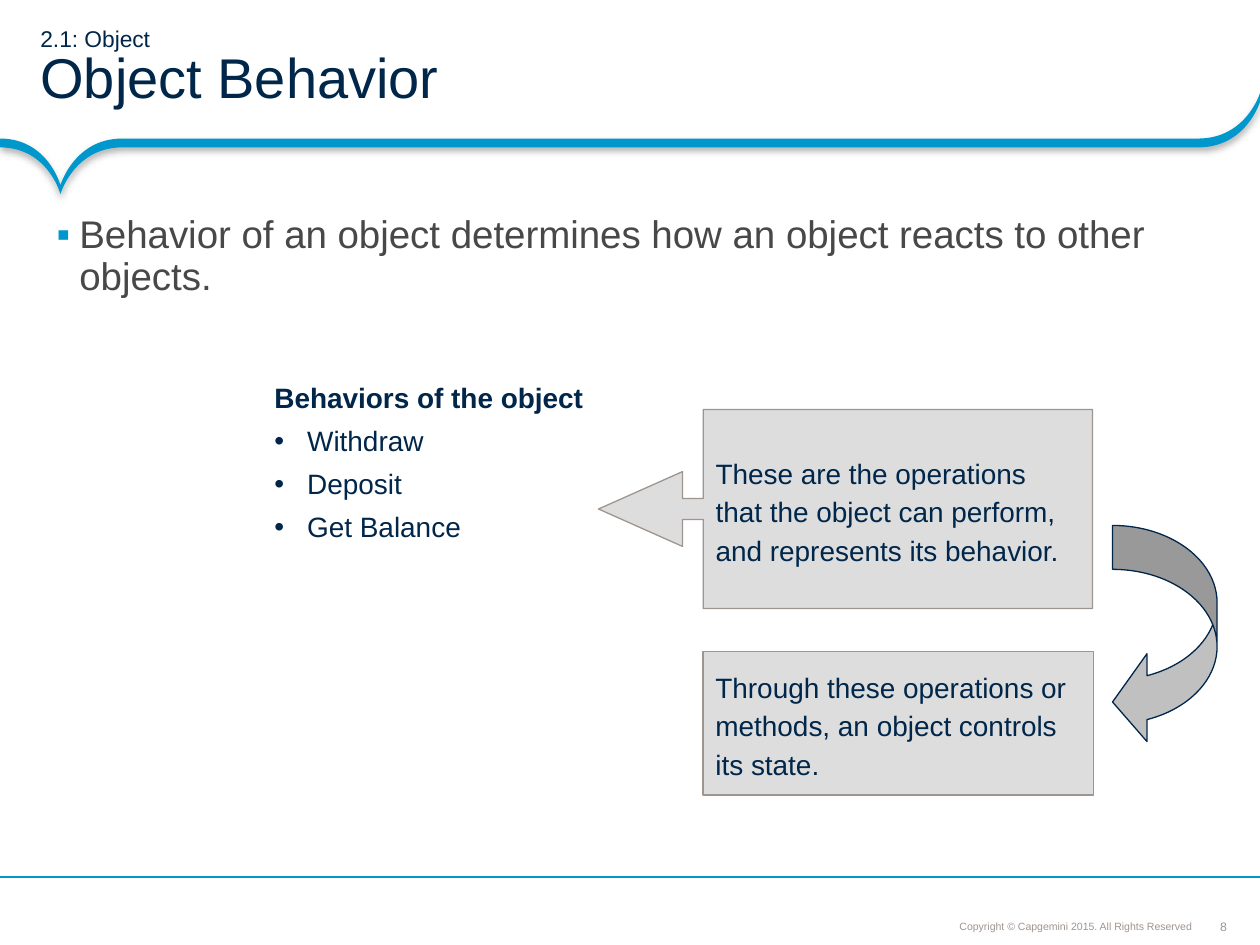
import pptx
import pptx.util
import pptx.dml.color
import pptx.enum.shapes
import pptx.enum.text
import pptx.oxml
import pptx.oxml.ns
from pptx.util import Inches

SHAPE = pptx.enum.shapes.MSO_SHAPE
ANCHOR = pptx.enum.text.MSO_ANCHOR
ALIGN = pptx.enum.text.PP_ALIGN
NAVY, BLUE, TEXT, GREY, PANEL, ARROW = "00264A", "0098CC", "484848", "9F958F", "DDDDDD", "C0C0C0"


def color(value):
    return pptx.dml.color.RGBColor.from_string(value)


def element(markup):
    return pptx.oxml.parse_xml(f"<a:root {pptx.oxml.ns.nsdecls('a')}>{markup}</a:root>")[0]


class Deck:
    """Holds the slide and its style, and adds each kind of element."""

    def __init__(self, s, font="Arial"):
        self.s, self.font = s, font

    def frame(self, sp, anchor=ANCHOR.TOP, insets=(0.1, 0.05, 0.1, 0.05), wrap=True):
        tf = sp.text_frame
        tf.auto_size = pptx.enum.text.MSO_AUTO_SIZE.NONE
        tf.word_wrap, tf.vertical_anchor = wrap, anchor
        tf.margin_left, tf.margin_top, tf.margin_right, tf.margin_bottom = map(Inches, insets)
        return tf

    def run(self, p, text, size, ink, bold=False):
        r = p.add_run()
        r.text = text
        r.font.name, r.font.size, r.font.bold = self.font, pptx.util.Pt(size), bold
        r.font.color.rgb = color(ink)

    def paragraph(self, p, text, size, ink, bold=False, align=ALIGN.LEFT, spacing=1.0,
                  before=0, indent=0, bullet=None, bullet_ink=None):
        pPr = p._p.get_or_add_pPr()
        if indent:
            pPr.set("marL", str(Inches(indent)))
            pPr.set("indent", str(-Inches(indent)))
        if bullet_ink:
            pPr.append(element(f'<a:buClr><a:srgbClr val="{bullet_ink}"/></a:buClr>'))
        if bullet:
            pPr.append(element(f'<a:buFont typeface="{self.font}"/>'))
            pPr.append(element(f'<a:buChar char="{bullet}"/>'))
        p.alignment, p.line_spacing = align, spacing
        if before:
            p.space_before = pptx.util.Pt(before)
        self.run(p, text, size, ink, bold)

    def title(self, box, small, large):
        sp = self.s.shapes.title
        sp.left, sp.top, sp.width, sp.height = map(Inches, box)
        p = self.frame(sp, ANCHOR.MIDDLE, (0.32, 0.04, 0.18, 0.04)).paragraphs[0]
        p.alignment, p.line_spacing = ALIGN.LEFT, 0.85
        self.run(p, small, 13, NAVY)
        p.add_line_break()
        self.run(p, large, 32, NAVY)

    def textbox(self, box, **style):
        return self.frame(self.s.shapes.add_textbox(*map(Inches, box)), **style)

    def shape(self, kind, box, fill, line, adjustments=(), text=None):
        sp = self.s.shapes.add_shape(kind, *map(Inches, box))
        sp.shadow.inherit = False
        for i, value in enumerate(adjustments):
            sp.adjustments[i] = value
        sp.fill.solid()
        sp.fill.fore_color.rgb = color(fill)
        sp.line.color.rgb = color(line)
        sp.line.width = pptx.util.Pt(0.75)
        if text:
            tf = self.frame(sp, ANCHOR.MIDDLE)
            self.paragraph(tf.paragraphs[0], text, 16, NAVY, spacing=1.15)

    def line(self, x1, y1, x2, y2, ink):
        sp = self.s.shapes.add_connector(pptx.enum.shapes.MSO_CONNECTOR.STRAIGHT,
                                         *map(Inches, (x1, y1, x2, y2)))
        sp.line.color.rgb = color(ink)
        sp.line.width = pptx.util.Pt(0.75)
        sp._element.spPr.append(element("<a:effectLst/>"))

    def curved_outline(self, start, curves, ink):
        ends = [curve[-1] for curve in curves]
        fb = self.s.shapes.build_freeform(*map(Inches, start))
        fb.add_line_segments([(Inches(x), Inches(y)) for x, y in ends], close=False)
        sp = fb.convert_to_shape()
        path = sp._element.spPr.find(".//" + pptx.oxml.ns.qn("a:path"))
        for segment, curve in zip(list(path)[1:], curves):
            points = "".join(f'<a:pt x="{Inches(x) - sp.left}" y="{Inches(y) - sp.top}"/>'
                             for x, y in curve)
            path.replace(segment, element(f"<a:cubicBezTo>{points}</a:cubicBezTo>"))
        path.append(element("<a:close/>"))
        sp.fill.solid()
        sp.fill.fore_color.rgb = color(ink)
        sp.line.fill.background()
        sp._element.spPr.append(element(
            f'<a:effectLst><a:outerShdw blurRad="{pptx.util.Pt(4)}" dist="{pptx.util.Pt(2)}" '
            'dir="5400000" rotWithShape="0"><a:srgbClr val="000000"><a:alpha val="31000"/>'
            '</a:srgbClr></a:outerShdw></a:effectLst>'))

    def ribbon(self, top, thickness, ink):
        low = top + thickness
        tip, low_tip, end, low_end = (0.48, top + 0.37), (0.48, low + 0.37), (10, top - 0.36), (10, low - 0.36)
        curves = [[(0.97, top)] * 3,
                  [(0.59, top), tip, tip],
                  [tip, (0.38, top), (0, top)],
                  [(0, low)] * 3,
                  [(0.38, low), low_tip, low_tip],
                  [low_tip, (0.59, low), (0.97, low)],
                  [(9.51, low)] * 3,
                  [(9.89, low), low_end, low_end],
                  [end] * 3,
                  [end, (9.89, top), (9.51, top)]]
        self.curved_outline((9.51, top), curves, ink)


def main():
    prs = pptx.Presentation()
    prs.slide_width, prs.slide_height = Inches(10), Inches(7.5)
    deck = Deck(prs.slides.add_slide(prs.slide_layouts[5]))

    deck.title((0, 0, 10, 1.1), "2.1: Object ", "Object Behavior")
    deck.ribbon(1.1, 0.07, BLUE)
    deck.line(10, 6.96, 0, 6.96, BLUE)

    tf = deck.textbox((6.81, 7.24, 2.69, 0.2), anchor=ANCHOR.BOTTOM, insets=(0.04,) * 4)
    deck.paragraph(tf.paragraphs[0], "Copyright © Capgemini 2015. All Rights Reserved", 6, GREY,
                   align=ALIGN.RIGHT, spacing=0.9)
    tf = deck.textbox((9.65, 7.29, 0.12, 0.12), anchor=ANCHOR.MIDDLE, insets=(0,) * 4, wrap=False)
    deck.paragraph(tf.paragraphs[0], "8", 7, GREY, align=ALIGN.CENTER)

    tf = deck.textbox((0.33, 1.63, 9.67, 5.08), insets=(0.12, 0.08, 0.08, 0.08))
    deck.paragraph(tf.paragraphs[0],
                   "Behavior of an object determines how an object reacts to other objects.",
                   22, TEXT, spacing=0.9, indent=0.18, bullet="▪", bullet_ink=BLUE)

    tf = deck.textbox((2.08, 2.92, 3.58, 1.47))
    deck.paragraph(tf.paragraphs[0], "Behaviors of the object", 16, NAVY, bold=True,
                   spacing=1.2, indent=0.26)
    for behavior in ("Withdraw", "Deposit", "Get Balance"):
        deck.paragraph(tf.add_paragraph(), behavior, 16, NAVY, spacing=1.2, before=1.6,
                       indent=0.26, bullet="•")

    deck.shape(SHAPE.LEFT_ARROW_CALLOUT, (4.75, 3.25, 3.92, 1.58), PANEL, GREY,
               (0.105, 0.188, 0.422, 0.788),
               "These are the operations that the object can perform, and represents its behavior.")
    deck.shape(SHAPE.RECTANGLE, (5.58, 5.17, 3.1, 1.14), PANEL, GREY,
               text="Through these operations or methods, an object controls its state.")
    deck.shape(SHAPE.CURVED_LEFT_ARROW, (8.83, 4.17, 0.83, 1.75), ARROW, NAVY, (0.42, 0.84, 0.33))
    prs.save("out.pptx")


if __name__ == "__main__":
    main()
